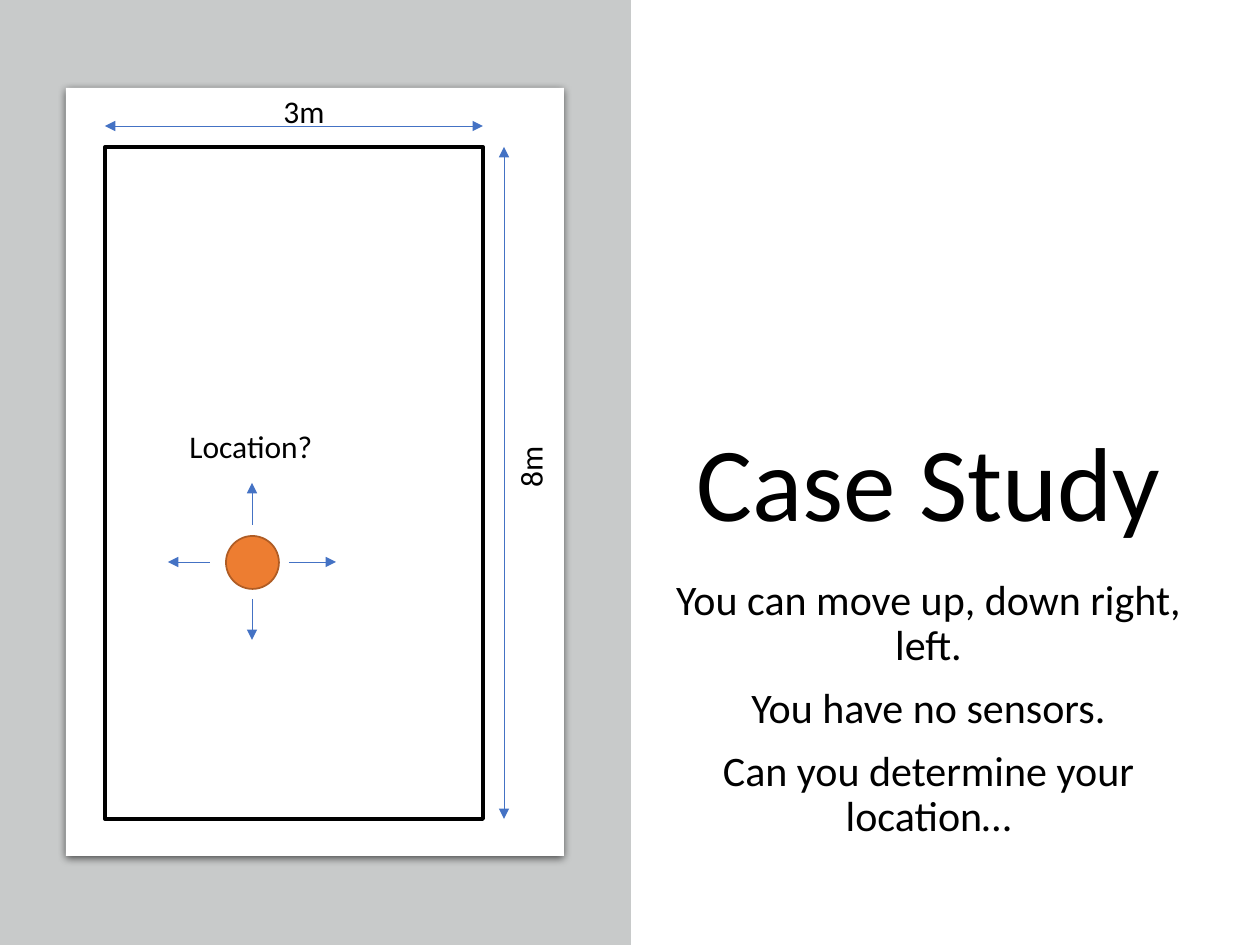
from lxml import etree
from pptx import Presentation
from pptx.dml.color import RGBColor
from pptx.enum.shapes import MSO_CONNECTOR, MSO_SHAPE
from pptx.enum.text import MSO_ANCHOR, MSO_AUTO_SIZE, PP_ALIGN
from pptx.oxml import parse_xml
from pptx.oxml.ns import nsdecls, qn
from pptx.util import Pt

PX = 914400 / 126
RECTANGLE, ROUNDED, OVAL = MSO_SHAPE.RECTANGLE, MSO_SHAPE.ROUNDED_RECTANGLE, MSO_SHAPE.OVAL
STRAIGHT = MSO_CONNECTOR.STRAIGHT
CENTER, BOTTOM, TOP = PP_ALIGN.CENTER, MSO_ANCHOR.BOTTOM, MSO_ANCHOR.TOP
FIT_SHAPE = MSO_AUTO_SIZE.SHAPE_TO_FIT_TEXT

color = RGBColor.from_string


def emu(*pixels):
    return [round(value * PX) for value in pixels]


deck = Presentation()
deck.slide_width, deck.slide_height = emu(1260, 945)
page = deck.slides.add_slide(deck.slide_layouts[6])

# Title and body on the right
for texts, size, anchor, frame in [
    (["Case Study"], 60, BOTTOM, (663, 88, 531, 462)),
    (["You can move up, down right, left.", "You have no sensors.",
      "Can you determine your location…"], 24, TOP, (663, 573, 531, 284)),
]:
    box = page.shapes.add_textbox(*emu(*frame))
    box.text_frame.word_wrap = True
    box.text_frame.vertical_anchor = anchor
    box.text_frame.text = "\n".join(texts)
    for index, para in enumerate(box.text_frame.paragraphs):
        para.alignment = CENTER
        para.line_spacing = 0.9
        para.space_before = Pt(10 if index else 0)
        para.font.name = "Calibri"
        para.font.size = Pt(size)
        para.font.color.rgb = color("000000")

# Grey panel, white card, room outline and robot
for kind, frame, fill, line, width in [
    (RECTANGLE, (0, 0, 631, 945), "C8CACA", None, 0),
    (ROUNDED, (66, 88, 498, 768), "FFFFFF", None, 0),
    (RECTANGLE, (105, 147, 378, 672), None, "000000", 2.25),
    (OVAL, (226, 536, 53, 53), "ED7D31", "AF5C24", 1),
]:
    shape = page.shapes.add_shape(kind, *emu(*frame))
    shape.shadow.inherit = False
    if fill:
        shape.fill.solid()
        shape.fill.fore_color.rgb = color(fill)
    else:
        shape.fill.background()
    if line:
        shape.line.color.rgb = color(line)
        shape.line.width = Pt(width)
    else:
        shape.line.fill.background()
    if kind == ROUNDED:
        shape.adjustments[0] = 0
        shape.element.spPr.find(qn("a:effectLst")).append(parse_xml(
            f'<a:outerShdw {nsdecls("a")} blurRad="{Pt(4.5)}" dist="{Pt(1.5)}" '
            'dir="5400000" algn="t" rotWithShape="0"><a:srgbClr val="000000">'
            '<a:alpha val="63000"/></a:srgbClr></a:outerShdw>'))

# Movement arrows point one way, dimension arrows both ways
for ends, tips in [
    ((252, 525, 252, 483), ["tailEnd"]),
    ((252, 599, 252, 640), ["tailEnd"]),
    ((210, 562, 168, 562), ["tailEnd"]),
    ((289, 562, 336, 562), ["tailEnd"]),
    ((105, 126, 483, 126), ["headEnd", "tailEnd"]),
    ((504, 819, 504, 147), ["headEnd", "tailEnd"]),
]:
    arrow = page.shapes.add_connector(STRAIGHT, *emu(*ends))
    arrow.line.color.rgb = color("4472C4")
    arrow.line.width = Pt(0.5)
    outline = arrow.element.spPr.find(qn("a:ln"))
    for tip in tips:
        etree.SubElement(outline, qn(f"a:{tip}"), type="triangle")
    etree.SubElement(arrow.element.spPr, qn("a:effectLst"))

# Diagram labels
for text, frame, rotation in [
    ("Location?", (177, 421, 150, 51), 0),
    ("3m", (271, 86, 67, 51), 0),
    ("8m", (497, 441, 67, 51), 270),
]:
    label = page.shapes.add_textbox(*emu(*frame))
    label.rotation = rotation
    label.text_frame.word_wrap = False
    label.text_frame.auto_size = FIT_SHAPE
    label.text_frame.text = text
    font = label.text_frame.paragraphs[0].font
    font.name = "Calibri"
    font.size = Pt(18)
    font.color.rgb = color("000000")

deck.save("out.pptx")
